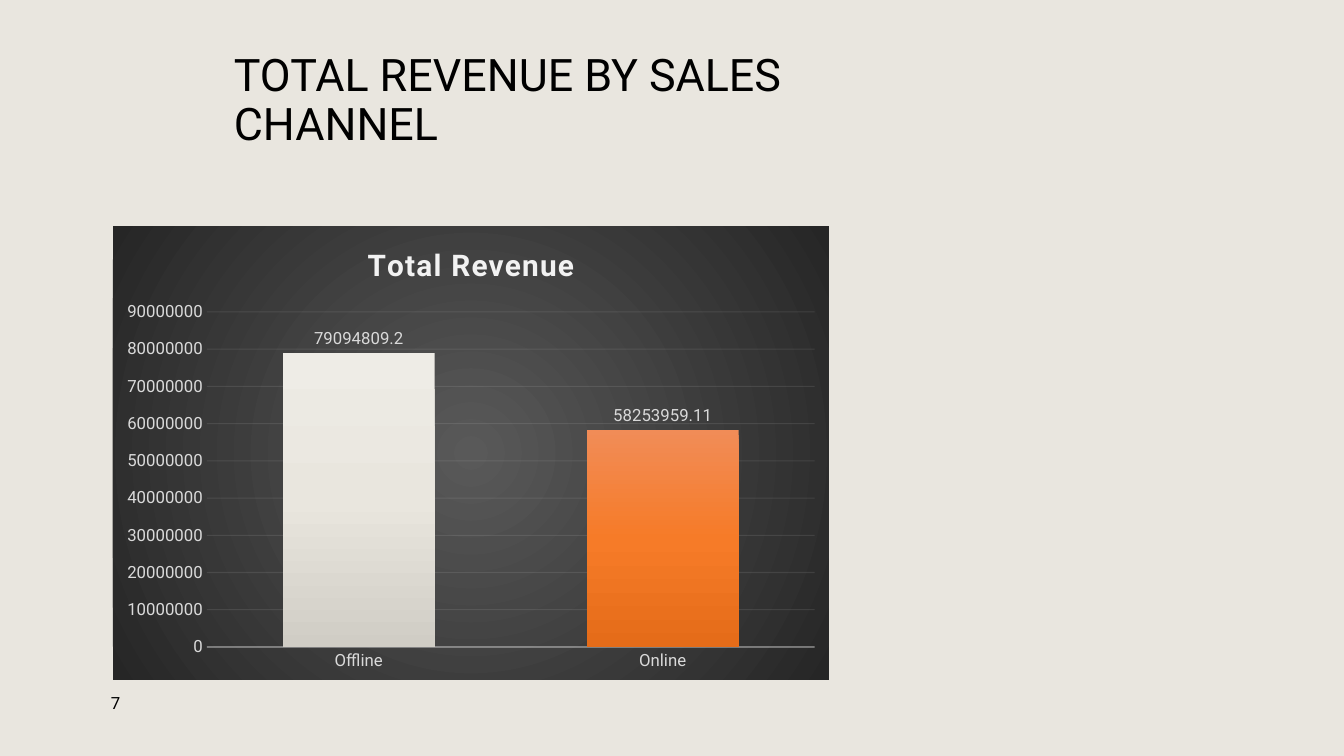
from lxml.etree import SubElement
from pptx import Presentation
from pptx.chart.data import CategoryChartData
from pptx.dml.color import RGBColor
from pptx.enum.chart import XL_CHART_TYPE, XL_LABEL_POSITION, XL_TICK_MARK
from pptx.enum.text import MSO_ANCHOR
from pptx.oxml import parse_xml
from pptx.oxml.ns import nsdecls, qn
from pptx.util import Pt

SCALE = 914400 / 100.8
FONT = "Roboto"
COLORS = {"back": "E9E6DF", "ink": "000000", "label": "D9D9D9", "pale": "F2F2F2"}
PANEL = [(0, "595959"), (100, "262626")]
BARS = [
    [(0, "EEECE6"), (50, "E9E6DE"), (100, "D0CDC5")],
    [(0, "F18C57"), (50, "F67B28"), (100, "E56C19")],
]


def style(font, size, color, bold=False):
    values = {"name": FONT, "size": Pt(size), "bold": bold}
    for key, value in values.items():
        setattr(font, key, value)
    font.color.rgb = RGBColor.from_string(COLORS[color])


def blend(stops, way):
    marks = "".join(
        f'<a:gs pos="{pos * 1000}"><a:srgbClr val="{color}"/></a:gs>'
        for pos, color in stops
    )
    return parse_xml(
        f'<a:gradFill {nsdecls("a")}><a:gsLst>{marks}</a:gsLst>{way}</a:gradFill>'
    )


deck = Presentation()
deck.slide_width, deck.slide_height = round(1344 * SCALE), round(756 * SCALE)
slide = deck.slides.add_slide(deck.slide_layouts[6])
slide.background.fill.solid()
slide.background.fill.fore_color.rgb = RGBColor.from_string(COLORS["back"])

# Title and page number
for words, size, place in [
    ("TOTAL REVENUE BY SALES CHANNEL", 32, (224, 22, 571, 159)),
    ("7", 12, (101, 688, 70, 32)),
]:
    box = slide.shapes.add_textbox(*(round(n * SCALE) for n in place))
    frame = box.text_frame
    frame.word_wrap = True
    frame.vertical_anchor = MSO_ANCHOR.MIDDLE
    para = frame.paragraphs[0]
    para.line_spacing = 0.9
    run = para.add_run()
    run.text = words
    style(run.font, size, "ink")

# Revenue chart
data = CategoryChartData()
data.categories = ["Offline", "Online"]
data.add_series("Total Revenue", [79094809.2, 58253959.11])
place = (round(n * SCALE) for n in (113, 226, 716, 454))
chart = slide.shapes.add_chart(XL_CHART_TYPE.COLUMN_CLUSTERED, *place, data).chart
style(chart.font, 10, "ink")
chart.has_legend = False
chart.has_title = True
head = chart.chart_title.text_frame.paragraphs[0].add_run()
head.text = "Total Revenue"
style(head.font, 21.3, "pale", True)
head.font._element.set("spc", "100")

# Dark panel
panel = parse_xml(f'<c:spPr {nsdecls("c", "a")}><a:ln><a:noFill/></a:ln></c:spPr>')
panel.insert(0, blend(PANEL, '<a:path path="circle"><a:fillToRect l="50000" '
                             't="50000" r="50000" b="50000"/></a:path>'))
chart._chartSpace.find(qn("c:chart")).addnext(panel)

# Axes and grid
sales, money = chart.category_axis, chart.value_axis
for axis in (sales, money):
    axis.major_tick_mark = axis.minor_tick_mark = XL_TICK_MARK.NONE
    style(axis.tick_labels.font, 12, "label")
sales.has_major_gridlines = False
money.has_major_gridlines = True
money.format.line.fill.background()
money.minimum_scale, money.maximum_scale, money.major_unit = 0, 90000000, 10000000
money.tick_labels.number_format = "General"
money.tick_labels.number_format_is_linked = False
for owner, width, alpha in [(sales, 1, 54), (money.major_gridlines, 0.75, 10)]:
    line = owner.format.line
    line.width = Pt(width)
    line.color.rgb = RGBColor.from_string(COLORS["pale"])
    tint = line._ln.find(".//" + qn("a:srgbClr"))
    SubElement(tint, qn("a:alpha")).set("val", str(alpha * 1000))

# Bars and values
plot = chart.plots[0]
plot.vary_by_categories = False
plot.gap_width, plot.overlap = 100, -24
series = plot.series[0]
for i, stops in enumerate(BARS):
    series.points[i].format.line.fill.background()
    props = series._element.findall(qn("c:dPt"))[i].find(qn("c:spPr"))
    props.insert(0, blend(stops, '<a:lin ang="5400000" scaled="0"/>'))
labels = series.data_labels
for key, value in {
    "show_value": True,
    "number_format": "General",
    "number_format_is_linked": False,
    "position": XL_LABEL_POSITION.OUTSIDE_END,
}.items():
    setattr(labels, key, value)
style(labels.font, 12, "label")

deck.save("out.pptx")
